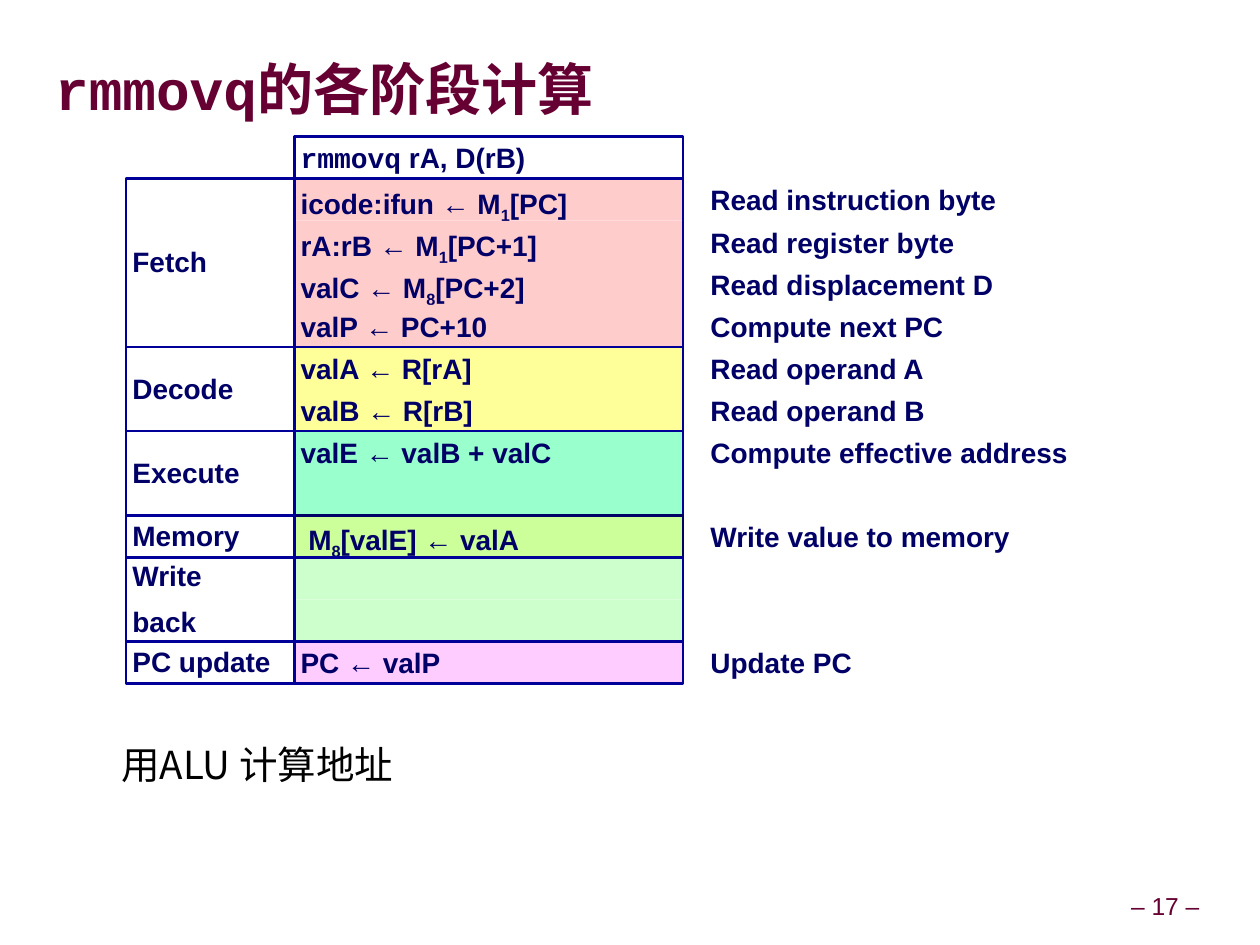
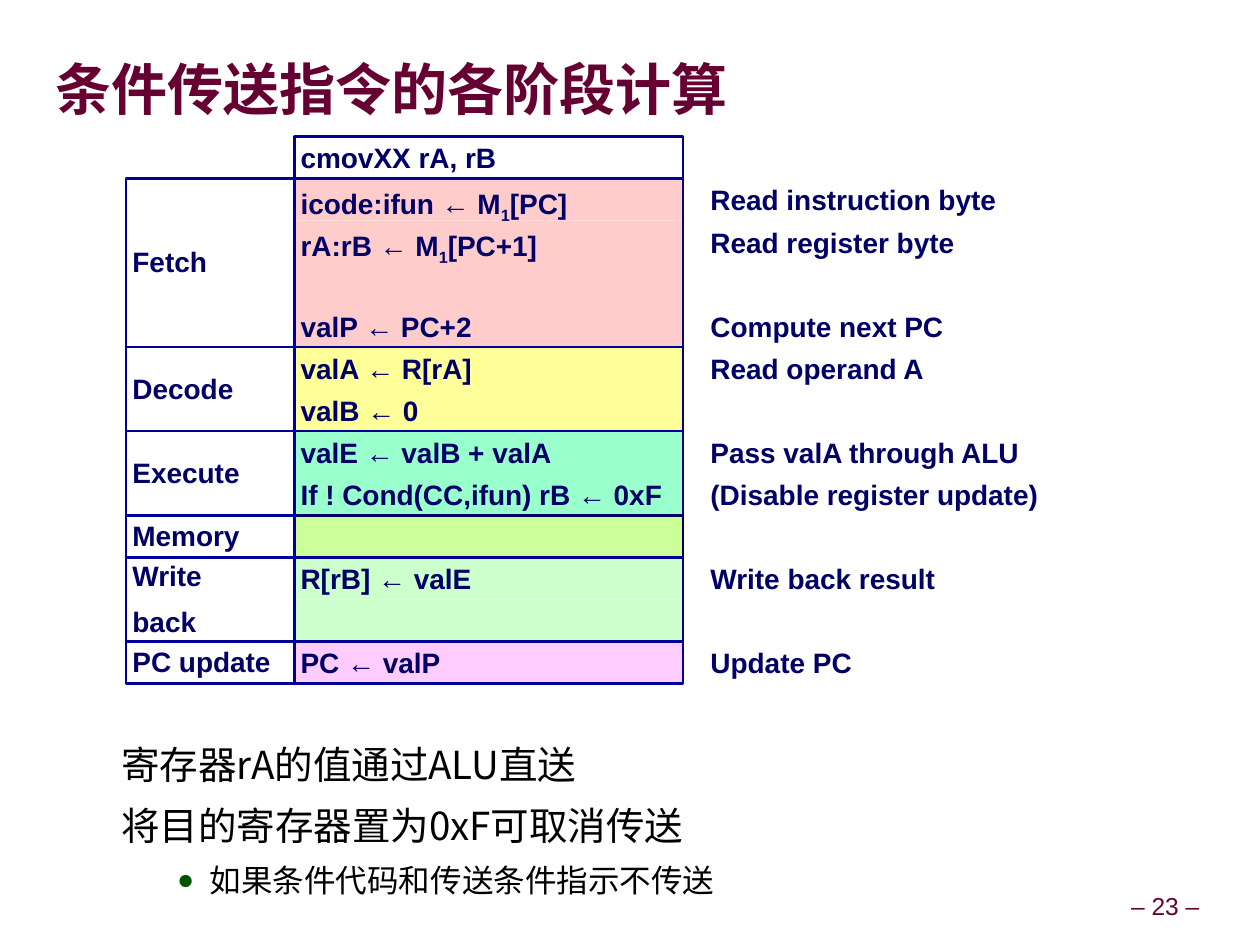
from dataclasses import dataclass
from typing import Any, Iterator, NamedTuple

from lxml import etree
from pptx import Presentation
from pptx.dml.color import RGBColor
from pptx.enum import shapes, text as txt
from pptx.oxml import ns
from pptx.util import Pt


@dataclass(frozen=True)
class Theme:
    title: str = "660033"
    ink: str = "000066"
    border: str = "000099"
    note: str = "000000"
    bullet: str = "005400"
    sans: str = "Arial"
    mono: str = "Courier New"
    cjk: str = "Noto Sans CJK SC"
    title_size: float = 32
    cell_size: float = 16
    note_size: float = 22
    sub_note_size: float = 18
    page_size: float = 14
    border_width: float = 1.5


THEME = Theme()


class Style(NamedTuple):
    size: float
    color: str
    font: str
    bold: bool = False


TITLE = Style(THEME.title_size, THEME.title, THEME.cjk, True)
CELL = Style(THEME.cell_size, THEME.ink, THEME.sans, True)
NOTE = Style(THEME.note_size, THEME.note, THEME.cjk)
SUB_NOTE = Style(THEME.sub_note_size, THEME.note, THEME.cjk)
PAGE_NUMBER = Style(THEME.page_size, THEME.title, THEME.sans)


class Stage(NamedTuple):
    name: str
    fill: str
    rows: int
    border: str = THEME.border


class Step(NamedTuple):
    compute: str = ""
    meaning: str = ""


class Note(NamedTuple):
    text: str
    bulleted: bool = False


class Lesson(NamedTuple):
    number: int
    title: str
    instruction: str
    steps: list[Step]
    notes: list[Note]


class Column(NamedTuple):
    left: float
    width: float


STAGES = [
    Stage("Fetch", "FFCCCC", 4),
    Stage("Decode", "FFFF99", 2),
    Stage("Execute", "99FFCC", 2),
    Stage("Memory", "CCFF99", 1, THEME.ink),
    Stage("Write\nback", "CCFFCC", 2),
    Stage("PC update", "FFCCFF", 1),
]

# Backticks mark monospaced text; an underscore lowers the next character.
FETCH_START = [
    Step("icode:ifun ← M_1[PC]", "Read instruction byte"),
    Step("rA:rB ← M_1[PC+1]", "Read register byte"),
]
READ_A = Step("valA ← R[rA]", "Read operand A")
UPDATE_PC = Step("PC ← valP", "Update PC")

LESSONS = [
    Lesson(
        17, "`rmmovq`的各阶段计算", "`rmmovq` rA, D(rB)",
        [
            *FETCH_START,
            Step("valC ← M_8[PC+2]", "Read displacement D"),
            Step("valP ← PC+10", "Compute next PC"),
            READ_A,
            Step("valB ← R[rB]", "Read operand B"),
            Step("valE ← valB + valC", "Compute effective address"),
            Step(),
            Step(" M_8[valE] ← valA", "Write value to memory"),
            Step(),
            Step(),
            UPDATE_PC,
        ],
        [Note("用ALU 计算地址")],
    ),
    Lesson(
        23, "条件传送指令的各阶段计算", "cmovXX rA, rB",
        [
            *FETCH_START,
            Step(),
            Step("valP ← PC+2", "Compute next PC"),
            READ_A,
            Step("valB ← 0"),
            Step("valE ← valB + valA", "Pass valA through ALU"),
            Step("If ! Cond(CC,ifun) rB ← 0xF", "(Disable register update)"),
            Step(),
            Step("R[rB] ← valE", "Write back result"),
            Step(),
            UPDATE_PC,
        ],
        [
            Note("寄存器rA的值通过ALU直送"),
            Note("将目的寄存器置为0xF可取消传送"),
            Note("如果条件代码和传送条件指示不传送", True),
        ],
    ),
]

STAGE_COLUMN = Column(72, 96)
COMPUTE_COLUMN = Column(168, 222)
MEANING_COLUMN = Column(402, 222)
GRID_TOP, ROW_HEIGHT = 78, 24


def assign(target: Any, values: dict[str, Any]) -> None:
    for name, value in values.items():
        setattr(target, name, value)


def add_element(parent: Any, tag: str, **attributes: str) -> Any:
    return etree.SubElement(parent, ns.qn(tag), attributes)


def margins(left: float, top: float, right: float, bottom: float) -> dict[str, Any]:
    sides = {"left": left, "top": top, "right": right, "bottom": bottom}
    return {f"margin_{side}": Pt(size) for side, size in sides.items()}


# Text
def marked_pieces(text: str) -> Iterator[tuple[str, bool, bool]]:
    """Yield each piece of text with its mono and subscript flags."""
    for index, chunk in enumerate(text.split("`")):
        mono = index % 2 == 1
        for position, piece in enumerate(chunk.split("_")):
            if position:
                yield piece[0], mono, True
                piece = piece[1:]
            if piece:
                yield piece, mono, False


def write(para: Any, text: str, style: Style) -> None:
    for piece, mono, lowered in marked_pieces(text):
        span = para.add_run()
        span.text = piece
        font = THEME.mono if mono else style.font
        assign(span.font, {"size": Pt(style.size), "bold": style.bold, "name": font})
        span.font.color.rgb = RGBColor.from_string(style.color)
        properties = span.font._element
        if font == THEME.cjk:
            add_element(properties, "a:ea", typeface=font)
        if lowered:
            properties.set("baseline", "-25000")


def next_para(frame: Any, index: int) -> Any:
    return frame.add_paragraph() if index else frame.paragraphs[0]


# Stage grid
def write_cell(box: Any, text: str, middle: bool = False) -> None:
    top, bottom = (4.2, 3) if middle else (4.6, 0)
    anchor = txt.MSO_ANCHOR.MIDDLE if middle else txt.MSO_ANCHOR.TOP
    assign(box.text_frame, margins(3.6, top, 3.6, bottom) | {
        "word_wrap": True, "vertical_anchor": anchor})
    for index, line in enumerate(text.split("\n")):
        para = next_para(box.text_frame, index)
        assign(para, {"line_spacing": 0.9, "alignment": txt.PP_ALIGN.LEFT})
        if index:
            para.space_before = Pt(9)
        write(para, line, CELL)


def place(column: Column, row: int, rows: int = 1) -> tuple[Any, ...]:
    top = GRID_TOP + row * ROW_HEIGHT
    return tuple(map(Pt, (column.left, top, column.width, rows * ROW_HEIGHT)))


def add_cell(page: Any, column: Column, row: int, rows: int = 1, text: str = "",
             fill: str = "", border: str = "", middle: bool = False) -> None:
    box = page.shapes.add_shape(shapes.MSO_SHAPE.RECTANGLE, *place(column, row, rows))
    box.shadow.inherit = False
    for paint, color in ((box.fill, fill), (box.line.fill, border)):
        if color:
            paint.solid()
            paint.fore_color.rgb = RGBColor.from_string(color)
        else:
            paint.background()
    if border:
        box.line.width = Pt(THEME.border_width)
    if text:
        write_cell(box, text, middle)


def add_stage_grid(page: Any, lesson: Lesson) -> None:
    add_cell(page, COMPUTE_COLUMN, 0, text=lesson.instruction, border=THEME.border)
    first = 1
    for stage in STAGES:
        single = stage.rows == 1
        for row in range(first, first + stage.rows):
            step = lesson.steps[row - 1]
            add_cell(page, COMPUTE_COLUMN, row, text=step.compute, fill=stage.fill,
                     border=stage.border if single else "")
            if step.meaning:
                label = page.shapes.add_textbox(*place(MEANING_COLUMN, row))
                write_cell(label, step.meaning)
        if not single:
            add_cell(page, COMPUTE_COLUMN, first, stage.rows, border=stage.border)
        add_cell(page, STAGE_COLUMN, first, stage.rows, stage.name,
                 border=THEME.border, middle=True)
        first += stage.rows


# Title, notes and page number
def add_title(page: Any, text: str) -> None:
    title = page.shapes.title
    assign(title, {"left": Pt(31.5), "top": Pt(19.5),
                   "width": Pt(657), "height": Pt(61)})
    assign(title.text_frame, margins(0, 0, 0, 0) | {
        "vertical_anchor": txt.MSO_ANCHOR.MIDDLE,
        "auto_size": txt.MSO_AUTO_SIZE.NONE, "word_wrap": True})
    para = title.text_frame.paragraphs[0]
    para.alignment = txt.PP_ALIGN.LEFT
    write(para, text, TITLE)


def add_notes(page: Any, notes: list[Note]) -> None:
    box = page.shapes.add_textbox(Pt(22.7), Pt(414), Pt(653), Pt(92))
    assign(box.text_frame, margins(7.2, 3.6, 7.2, 3.6) | {"word_wrap": True})
    for index, note in enumerate(notes):
        para = next_para(box.text_frame, index)
        properties = para._p.get_or_add_pPr()
        left, indent = (90, -18.7) if note.bulleted else (39.6, 0)
        properties.set("marL", str(Pt(left)))
        properties.set("indent", str(Pt(indent)))
        if note.bulleted:
            color = add_element(properties, "a:buClr")
            add_element(color, "a:srgbClr", val=THEME.bullet)
            add_element(properties, "a:buSzPct", val="90000")
            add_element(properties, "a:buFont", typeface=THEME.sans)
            add_element(properties, "a:buChar", char="●")
        para.line_spacing = 1.2
        if index:
            para.space_before = Pt(3)
        write(para, note.text, SUB_NOTE if note.bulleted else NOTE)


def add_page_number(page: Any, number: int) -> None:
    box = page.shapes.add_textbox(Pt(641.5), Pt(507), Pt(47.5), Pt(22))
    assign(box.text_frame, margins(3.6, 3.6, 3.6, 3.6) | {
        "word_wrap": False, "vertical_anchor": txt.MSO_ANCHOR.MIDDLE})
    para = box.text_frame.paragraphs[0]
    assign(para, {"alignment": txt.PP_ALIGN.CENTER, "line_spacing": 0.9})
    write(para, f"– {number} –", PAGE_NUMBER)


def main() -> None:
    deck = Presentation()
    assign(deck, {"slide_width": Pt(719.3), "slide_height": Pt(539.3)})
    title_only = deck.slide_layouts[5]
    for lesson in LESSONS:
        page = deck.slides.add_slide(title_only)
        add_title(page, lesson.title)
        add_stage_grid(page, lesson)
        add_notes(page, lesson.notes)
        add_page_number(page, lesson.number)
    deck.save("out.pptx")


if __name__ == "__main__":
    main()
